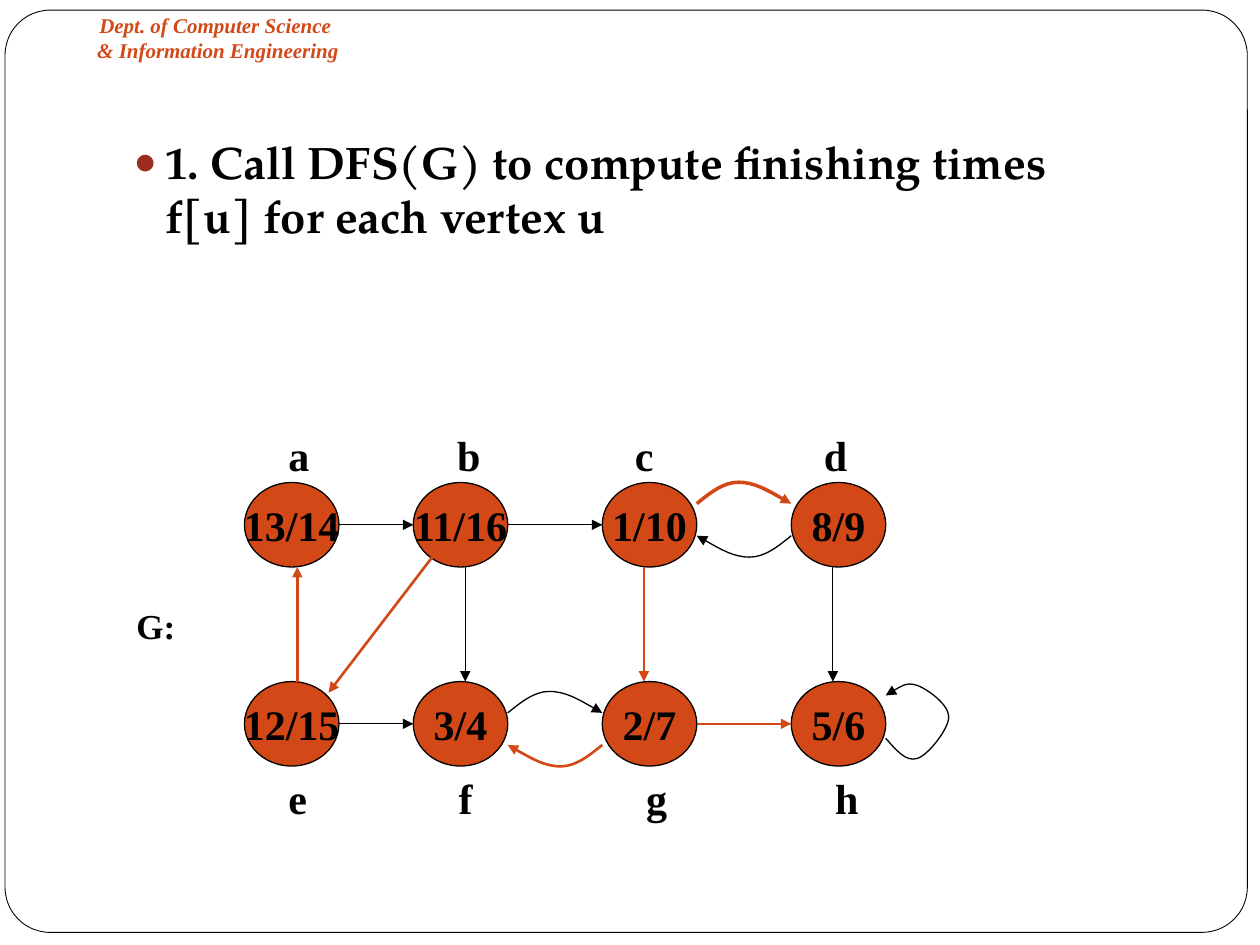
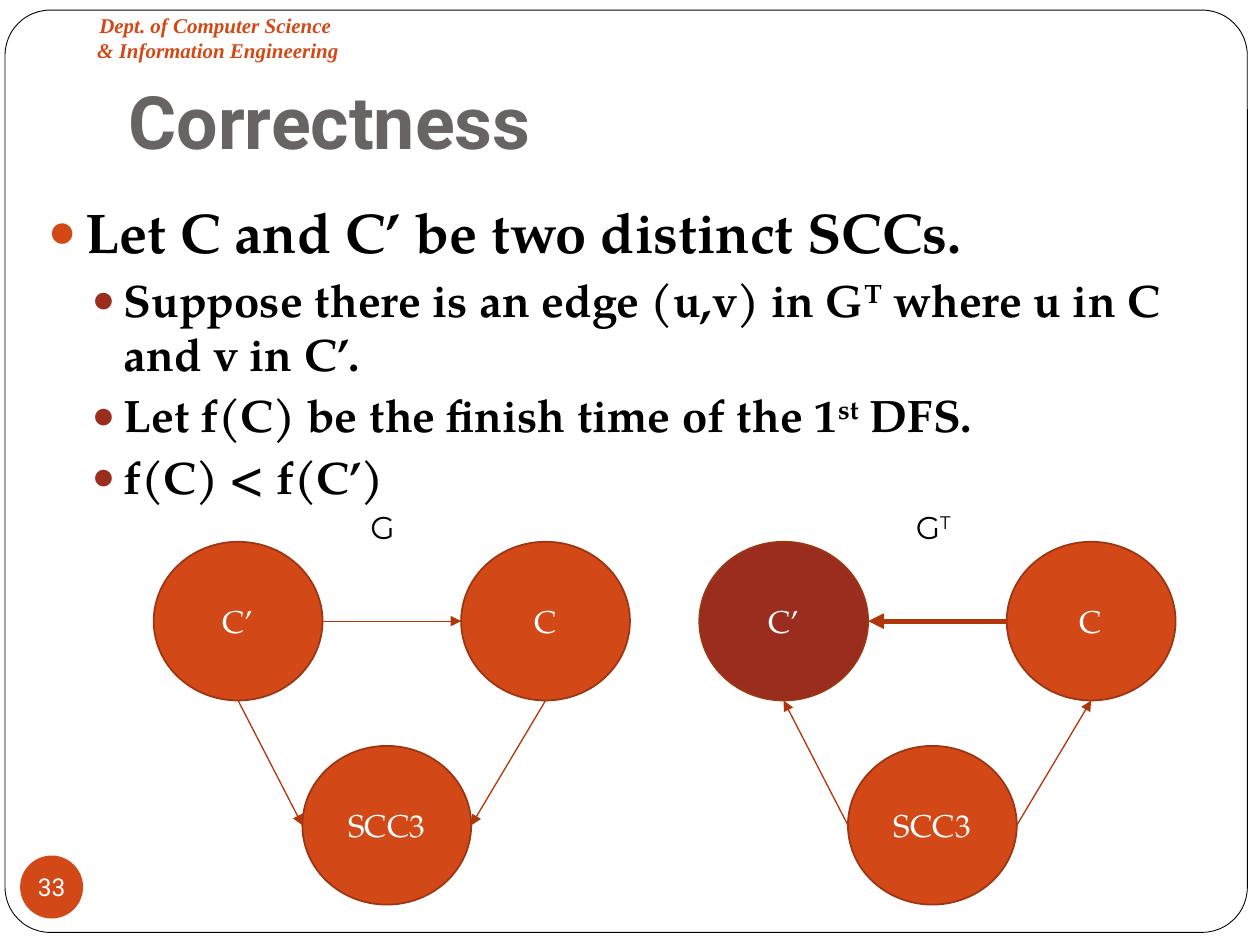
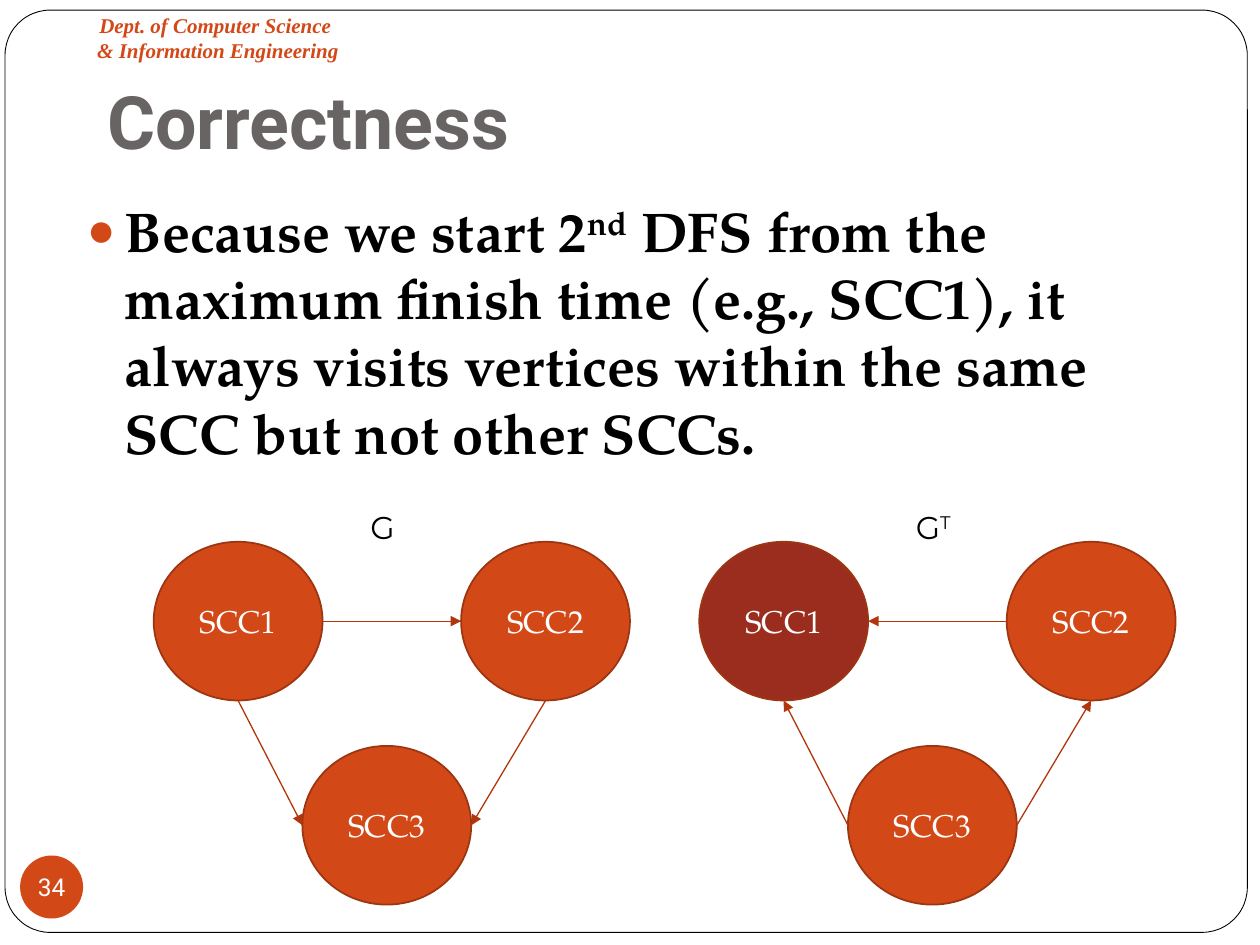
from lxml.etree import SubElement
from pptx import Presentation
from pptx.dml.color import RGBColor
from pptx.enum.shapes import MSO_CONNECTOR as Link, MSO_SHAPE as Preset
from pptx.enum.text import MSO_ANCHOR as Anchor, MSO_AUTO_SIZE as Fit, PP_ALIGN as Align
from pptx.oxml.ns import qn
from pptx.util import Inches, Pt

ORANGE, BRICK, BLACK, WHITE = "D34817", "9B2D1F", "000000", "FFFFFF"
GRAY, RIM, ARROW = "696464", "9C3511", "B1360B"
SERIF, HEADING, BODY, CAPTION = "Times New Roman", "Roboto", "TeX Gyre Pagella", "Montserrat"

DEPARTMENT = "Dept. of Computer Science \v& Information Engineering"
LEVELS = [
    dict(size=32, margin=0.3, hanging=0.3, before=5.8, bullet=ORANGE),
    dict(size=26, margin=0.6, hanging=0.25, before=3.8, bullet=BRICK),
]

DFS_STEP = [(1, "1. Call DFS(G) to compute finishing times f[u] for each vertex u")]
VERTEX_SIZE = (0.75, 0.67)
COLUMNS = (1.94, 3.28, 4.78, 6.28)
ROWS = (3.83, 5.41)
LABEL_ROWS = (3.36, 6.08)
VERTICES = {
    "a": (0, 0, "13/14", 0.25), "b": (1, 0, "11/16", 0.25),
    "c": (2, 0, "1/10", 0.16), "d": (3, 0, "8/9", 0.16),
    "e": (0, 1, "12/15", 0.25), "f": (1, 1, "3/4", 0.25),
    "g": (2, 1, "2/7", 0.25), "h": (3, 1, "5/6", 0.25),
}
TOP, LEFT, BOTTOM, RIGHT = (0.5, 0), (0, 0.5), (0.5, 1), (1, 0.5)
STRAIGHT_EDGES = [
    ("a", RIGHT, "b", LEFT, BLACK, 0.75),
    ("b", RIGHT, "c", LEFT, BLACK, 0.75),
    ("e", (0.56, 0), "a", (0.56, 1), ORANGE, 1.5),
    ("b", (0.21, 0.87), "e", (0.89, 0.13), ORANGE, 1.5),
    ("e", RIGHT, "f", LEFT, BLACK, 0.75),
    ("b", (0.55, 1), "f", (0.55, 0), BLACK, 0.75),
    ("c", (0.44, 1), "g", (0.44, 0), ORANGE, 1.5),
    ("g", RIGHT, "h", LEFT, ORANGE, 1.5),
    ("d", (0.44, 1), "h", (0.44, 0), BLACK, 0.75),
]
CURVED_EDGES = [
    ("f", (1, 0.37), "g", -0.17, BLACK, 0.75),
    ("g", (0, 0.75), "f", 0.17, ORANGE, 1.5),
    ("c", (1, 0.25), "d", -0.17, ORANGE, 2),
    ("d", (0, 0.63), "c", 0.17, BLACK, 0.75),
]
ARC = [(0, 0), (0.14, 0.5), (0.28, 1), (0.44, 1), (0.61, 1), (0.8, 0.5), (1, 0)]
SELF_LOOP = [(7.03, 5.86), (7.11, 5.95), (7.19, 6.05), (7.28, 6.02), (7.36, 6),
             (7.53, 5.79), (7.53, 5.69), (7.53, 5.59), (7.36, 5.47), (7.28, 5.44),
             (7.19, 5.41), (7.04, 5.51), (7.03, 5.52)]

COMPONENT_SIZE = (1.34, 1.26)
COMPONENT_OFFSETS = [(0, 0), (2.44, 0), (1.18, 1.62)]
COMPONENT_EDGES = [(0, RIGHT, 1, LEFT), (0, BOTTOM, 2, LEFT), (1, BOTTOM, 2, RIGHT)]
COMPONENT_TOP = 4.3
CORRECTNESS = [
    dict(
        number="33", title_left=0.92, body=(0.28, 1.52, 9.15, 5),
        points=[
            (0, "Let C and C’ be two distinct SCCs."),
            (1, "Suppose there is an edge (u,v) in G^T^ where u in C and v in C’."),
            (1, "Let f(C) be the finish time of the 1^st^ DFS."),
            (1, "f(C) < f(C’)"),
        ],
        components=["C’", "C", "SCC3"], crossing_width=3,
    ),
    dict(
        number="34", title_left=0.75, body=(0.59, 1.51, 8.9, 2.29),
        points=[(0, "Because we start 2^nd^ DFS from the maximum finish time (e.g., SCC1), "
                    "it always visits vertices within the same SCC but not other SCCs.")],
        components=["SCC1", "SCC2", "SCC3"], crossing_width=0.75,
    ),
]


def rgb(value):
    return RGBColor.from_string(value)


def inches(values):
    return [Inches(value) for value in values]


def move(placeholder, box):
    placeholder.left, placeholder.top, placeholder.width, placeholder.height = inches(box)


def write(paragraph, text, face, size, color, bold=False, italic=False, align=Align.LEFT):
    for index, piece in enumerate(text.split("^")):
        if index % 2:
            run = paragraph.add_run()
            run.text = piece
            run._r.get_or_add_rPr().set("baseline", "30000")
        elif "\v" in piece:
            first, second = piece.split("\v")
            paragraph.add_run().text = first
            paragraph.add_line_break()
            paragraph.add_run().text = second
        elif piece:
            paragraph.add_run().text = piece
    paragraph.alignment = align
    font = paragraph.font
    font.name, font.size, font.bold, font.italic = face, Pt(size), bold, italic
    font.color.rgb = rgb(color)


def add_text(shapes, box, text, face, size, color, wrap=False, **style):
    frame = shapes.add_textbox(*inches(box)).text_frame
    frame.word_wrap = wrap
    frame.auto_size = Fit.SHAPE_TO_FIT_TEXT
    write(frame.paragraphs[0], text, face, size, color, **style)


def add_preset(shapes, preset, box, fill, line=None, width=0.75):
    shape = shapes.add_shape(preset, *inches(box))
    shape.shadow.inherit = False
    shape.fill.solid()
    shape.fill.fore_color.rgb = rgb(fill)
    if line:
        shape.line.color.rgb = rgb(line)
        shape.line.width = Pt(width)
    else:
        shape.line.fill.background()
    return shape


def add_circle(shapes, box, text, fill, line, width, face, size, color, bold=False, wrap=True):
    frame = add_preset(shapes, Preset.OVAL, box, fill, line, width).text_frame
    frame.word_wrap = wrap
    frame.vertical_anchor = Anchor.MIDDLE
    write(frame.paragraphs[0], text, face, size, color, bold, align=Align.CENTER)
    return frame


def point_to(edge, color, width):
    edge.line.color.rgb = rgb(color)
    edge.line.width = Pt(width)
    outline = edge.element.spPr.find(qn("a:ln"))
    SubElement(outline, qn("a:tailEnd"), type="triangle")


def add_arrow(shapes, start, end, color, width):
    arrow = shapes.add_connector(Link.STRAIGHT, *inches(start + end))
    point_to(arrow, color, width)
    SubElement(arrow.element.spPr, qn("a:effectLst"))


def add_curve(shapes, points, color, width):
    start, *rest = [inches(point) for point in points]
    builder = shapes.build_freeform(*start)
    builder.add_line_segments(rest, close=False)
    curve = builder.convert_to_shape()
    curve.shadow.inherit = False
    curve.fill.background()
    point_to(curve, color, width)
    outline = curve.element.find(".//" + qn("a:path"))
    segments = outline.findall(qn("a:lnTo"))
    for first in range(0, len(segments), 3):
        bezier = SubElement(outline, qn("a:cubicBezTo"))
        for segment in segments[first:first + 3]:
            bezier.append(segment[0])
            outline.remove(segment)


def port(corner, size, share):
    return tuple(c + s * part for c, s, part in zip(corner, size, share))


def add_points(placeholder, box, points):
    move(placeholder, box)
    frame = placeholder.text_frame
    frame.auto_size = Fit.NONE
    for index, (level, text) in enumerate(points):
        paragraph = frame.add_paragraph() if index else frame.paragraphs[0]
        look = LEVELS[level]
        paragraph.level = level
        paragraph.space_before = Pt(look["before"])
        properties = paragraph._p.get_or_add_pPr()
        properties.set("marL", str(Inches(look["margin"])))
        properties.set("indent", str(-Inches(look["hanging"])))
        tint = SubElement(properties, qn("a:buClr"))
        SubElement(tint, qn("a:srgbClr"), val=look["bullet"])
        SubElement(properties, qn("a:buSzPct"), val="85000")
        SubElement(properties, qn("a:buChar"), char="●")
        write(paragraph, text, BODY, look["size"], BLACK, bold=True)


def add_title(placeholder, left):
    move(placeholder, (left, 0.29, 8.5, 1.11))
    frame = placeholder.text_frame
    frame.auto_size = Fit.NONE
    frame.vertical_anchor = Anchor.BOTTOM
    frame.margin_bottom = Inches(0.1)
    write(frame.paragraphs[0], "Correctness", HEADING, 42, GRAY, bold=True)


def dress_master(master, slide):
    existing = len(slide.shapes)
    border = add_preset(slide.shapes, Preset.ROUNDED_RECTANGLE, (0.04, 0.08, 9.86, 7.32),
                        WHITE, BLACK, 0.5)
    border.adjustments[0] = 0.049
    add_text(slide.shapes, (0.59, 0.05, 2.28, 0.5), DEPARTMENT, SERIF, 12, ORANGE,
             wrap=True, bold=True, italic=True, align=Align.CENTER)
    for shape in list(slide.shapes)[existing:]:
        master.shapes.element.append(shape.element)


def draw_search(slide):
    shapes = slide.shapes.add_group_shape().shapes
    corners = {name: (COLUMNS[column], ROWS[row])
               for name, (column, row, _, _) in VERTICES.items()}
    for name, (column, row, times, shift) in VERTICES.items():
        add_circle(shapes, corners[name] + VERTEX_SIZE, times, ORANGE, BLACK, 0.75,
                   SERIF, 24, BLACK, bold=True, wrap=False)
        add_text(shapes, (COLUMNS[column] + shift, LABEL_ROWS[row], 0.32, 0.33), name,
                 SERIF, 24, BLACK, bold=True, align=Align.RIGHT)
    for source, leave, target, enter, color, width in STRAIGHT_EDGES:
        add_arrow(shapes, port(corners[source], VERTEX_SIZE, leave),
                  port(corners[target], VERTEX_SIZE, enter), color, width)
    for source, leave, target, rise, color, width in CURVED_EDGES:
        x, y = port(corners[source], VERTEX_SIZE, leave)
        end, _ = port(corners[target], VERTEX_SIZE, (1 - leave[0], 0))
        arc = [(x + across * (end - x), y + up * rise) for across, up in ARC]
        add_curve(shapes, arc, color, width)
    add_curve(shapes, SELF_LOOP, BLACK, 0.75)
    add_text(shapes, (0.98, 4.75, 0.51, 0.44), "G:", SERIF, 20, BLACK,
             bold=True, align=Align.RIGHT)


def draw_components(shapes, left, names, transposed, crossing_width):
    corners = [(left + x, COMPONENT_TOP + y) for x, y in COMPONENT_OFFSETS]
    for index, (name, corner) in enumerate(zip(names, corners)):
        fill = BRICK if transposed and index == 0 else ORANGE
        add_circle(shapes, corner + COMPONENT_SIZE, name, fill, RIM, 1, BODY, 18, WHITE)
    for index, (source, leave, target, enter) in enumerate(COMPONENT_EDGES):
        ends = [port(corners[source], COMPONENT_SIZE, leave),
                port(corners[target], COMPONENT_SIZE, enter)]
        if transposed:
            ends.reverse()
        add_arrow(shapes, *ends, ARROW, 0.75 if index else crossing_width)
    caption, width = ("G^T^", 0.53) if transposed else ("G", 0.41)
    add_text(shapes, (left + 1.62, 3.98, width, 0.4), caption, CAPTION, 18, BLACK)


def draw_correctness(slide, content):
    title, body = slide.placeholders
    add_title(title, content["title_left"])
    add_points(body, content["body"], content["points"])
    number = add_circle(slide.shapes, (0.16, 6.79, 0.5, 0.5), content["number"],
                        ORANGE, None, 0, HEADING, 14, WHITE, wrap=False)
    number.margin_left = number.margin_right = number.margin_top = number.margin_bottom = 0
    draw_components(slide.shapes, 1.22, content["components"], False, 0.75)
    draw_components(slide.shapes, 5.55, content["components"], True, content["crossing_width"])


def main():
    deck = Presentation()
    deck.slide_width, deck.slide_height = inches((10, 7.5))
    layout = deck.slide_layouts[1]
    search = deck.slides.add_slide(layout)
    dress_master(deck.slide_master, search)
    title, body = search.placeholders
    title.element.getparent().remove(title.element)
    add_points(body, (0.61, 1.01, 8.5, 5), DFS_STEP)
    draw_search(search)
    for content in CORRECTNESS:
        draw_correctness(deck.slides.add_slide(layout), content)
    deck.save("out.pptx")


if __name__ == "__main__":
    main()
